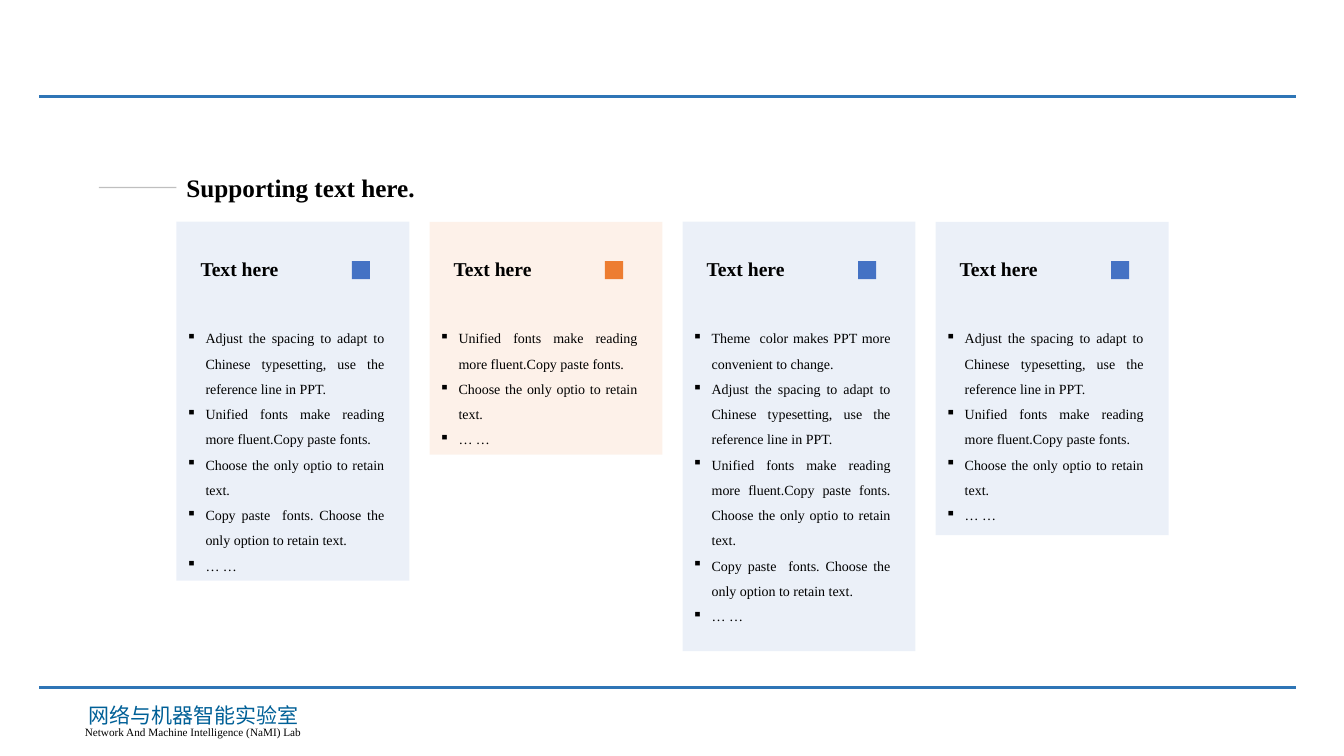
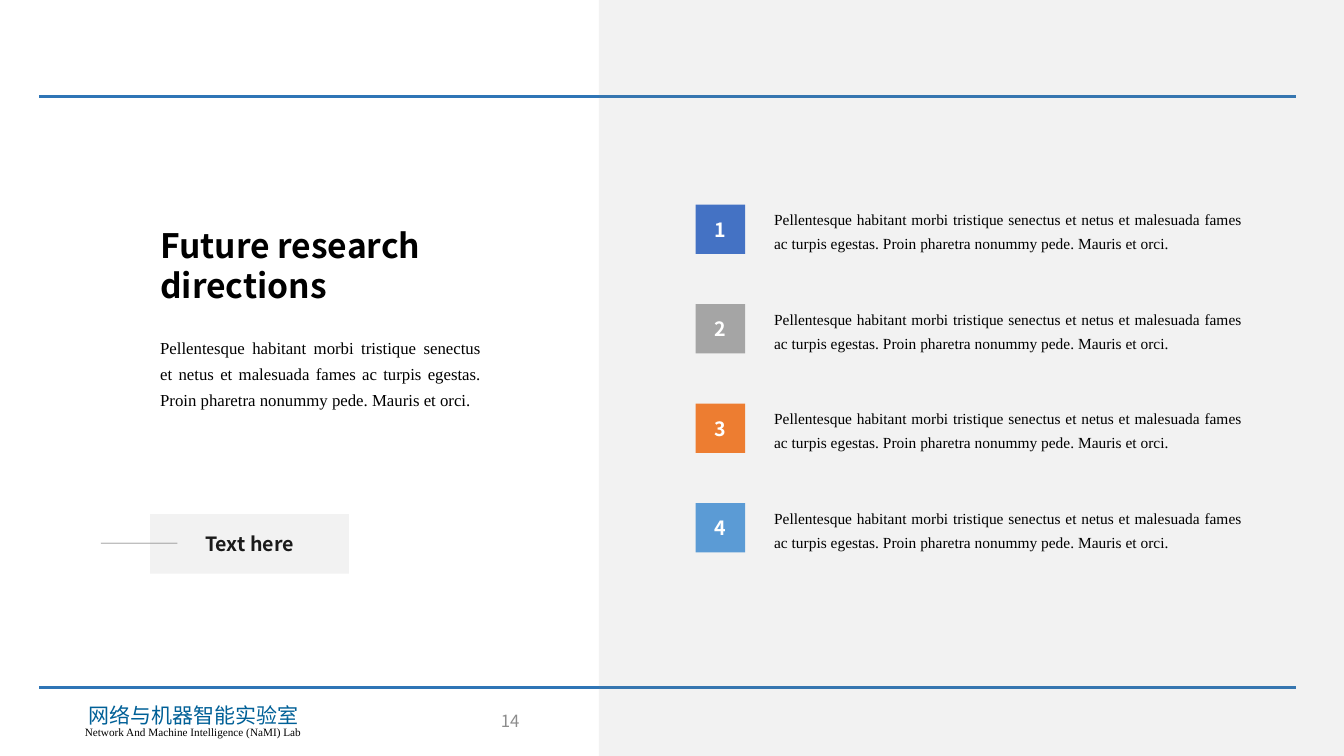
"""Build two lab slides: a four-card comparison and a list of research directions."""
from dataclasses import dataclass

from lxml.etree import SubElement
from pptx import Presentation
from pptx.dml.color import RGBColor
from pptx.enum.shapes import MSO_CONNECTOR, MSO_SHAPE
from pptx.enum.text import MSO_ANCHOR, PP_ALIGN
from pptx.oxml.ns import qn
from pptx.util import Inches, Pt


@dataclass(frozen=True)
class Theme:
    serif: str = "Times New Roman"
    sans: str = "Noto Sans CJK SC"
    rule: str = "2E75B6"
    lab: str = "006097"
    black: str = "000000"
    white: str = "FFFFFF"
    charcoal: str = "1A1A1A"
    gray: str = "808080"
    number: str = "8C8C8C"
    blue: str = "4472C4"
    orange: str = "ED7D31"
    silver: str = "A5A5A5"
    sky: str = "5B9BD5"
    title: int = 24
    heading: int = 18
    lab_size: int = 15
    label: int = 14
    body: int = 12
    item: int = 11
    bullet: int = 10
    caption: int = 8
    tint: int = 10
    faint: int = 50


THEME = Theme()

LAB_NAME = "网络与机器智能实验室"
LAB_CAPTION = "Network And Machine Intelligence (NaMI) Lab"

SPACING = "Adjust the spacing to adapt to Chinese typesetting, use the reference line in PPT."
FONTS = "Unified fonts make reading more fluent.Copy paste fonts."
CHOOSE = "Choose the only optio to retain text."
COPY = "Copy paste  fonts. Choose the only option to retain text."
COLOR = "Theme  color makes PPT more convenient to change."
MORE = "… …"

CARD_HEADING = "Supporting text here."
CARD_LABEL = "Text here"
CARDS = [
    (THEME.blue, 3.56, [SPACING, FONTS, CHOOSE, COPY, MORE]),
    (THEME.orange, 2.31, [FONTS, CHOOSE, MORE]),
    (THEME.blue, 4.26, [COLOR, SPACING, f"{FONTS} {CHOOSE}", COPY, MORE]),
    (THEME.blue, 3.11, [SPACING, FONTS, CHOOSE, MORE]),
]

DIRECTIONS_TITLE = "Future research directions"
DIRECTIONS_LABEL = "Text here"
DIRECTIONS_NUMBER = "14"
PASSAGE = (
    "Pellentesque habitant morbi tristique senectus et netus et malesuada fames "
    "ac turpis egestas. Proin pharetra nonummy pede. Mauris et orci."
)
DIRECTIONS = [
    (THEME.blue, PASSAGE),
    (THEME.silver, PASSAGE),
    (THEME.orange, PASSAGE),
    (THEME.sky, PASSAGE),
]


def set_alpha(owner, percent):
    color = next(owner.iter(qn("a:srgbClr")))
    SubElement(color, qn("a:alpha"), val=str(percent * 1000))


def add_line(page, left, right, top, color, width, alpha=None):
    line = page.shapes.add_connector(
        MSO_CONNECTOR.STRAIGHT, Inches(left), Inches(top), Inches(right), Inches(top)
    )
    line.line.color.rgb = RGBColor.from_string(color)
    line.line.width = Pt(width)
    properties = line._element.spPr
    if alpha:
        set_alpha(properties, alpha)
    SubElement(properties, qn("a:effectLst"))


def add_block(page, left, top, width, height, color, alpha=None):
    block = page.shapes.add_shape(
        MSO_SHAPE.RECTANGLE, Inches(left), Inches(top), Inches(width), Inches(height)
    )
    block.shadow.inherit = False
    block.fill.solid()
    block.fill.fore_color.rgb = RGBColor.from_string(color)
    if alpha:
        set_alpha(block._element.spPr, alpha)
    block.line.fill.background()
    return block


def add_bullet(para):
    properties = para._p.get_or_add_pPr()
    properties.set("marL", str(Inches(0.19)))
    properties.set("indent", str(-Inches(0.19)))
    SubElement(properties, qn("a:buChar"), char="▪")


def write(shape, lines, size, font=THEME.serif, color=THEME.black, bold=False,
          align=PP_ALIGN.LEFT, anchor=MSO_ANCHOR.TOP, spacing=None, bullets=False, wrap=True):
    frame = shape.text_frame
    frame.word_wrap = wrap
    frame.vertical_anchor = anchor
    for index, line in enumerate(lines):
        para = frame.add_paragraph() if index else frame.paragraphs[0]
        para.alignment = align
        if spacing:
            para.line_spacing = spacing
        if bullets:
            add_bullet(para)
        span = para.add_run()
        span.text = line
        span.font.name = font
        span.font.size = Pt(size)
        span.font.bold = bold
        span.font.color.rgb = RGBColor.from_string(color)
        SubElement(span._r.get_or_add_rPr(), qn("a:ea"), typeface=font)


def add_text(page, left, top, width, height, lines, size, **style):
    box = page.shapes.add_textbox(Inches(left), Inches(top), Inches(width), Inches(height))
    write(box, lines, size, **style)


def add_page(deck):
    page = deck.slides.add_slide(deck.slide_layouts[6])
    for top in (0.96, 6.82):
        add_line(page, 0.39, 12.85, top, THEME.rule, 2.25)
    add_text(page, 0.77, 6.92, 2.29, 0.35, [LAB_NAME], THEME.lab_size, font=THEME.sans,
             color=THEME.lab, align=PP_ALIGN.CENTER, spacing=Pt(18))
    add_text(page, 0.69, 7.15, 2.45, 0.24, [LAB_CAPTION], THEME.caption,
             align=PP_ALIGN.CENTER)
    return page


def build_cards(deck):
    page = add_page(deck)
    first_left, top, width, gap = 1.75, 2.2, 2.31, 0.2
    add_line(page, 0.98, first_left, 1.86, THEME.gray, 1, THEME.faint)
    add_text(page, first_left, 1.66, 3.38, 0.4, [CARD_HEADING], THEME.heading, bold=True,
             anchor=MSO_ANCHOR.BOTTOM)
    for index, (color, height, points) in enumerate(CARDS):
        left = first_left + index * (width + gap)
        add_block(page, left, top, width, height, color, THEME.tint)
        add_text(page, left, top + 0.94, 2.16, height - 0.94, points, THEME.bullet,
                 align=PP_ALIGN.JUSTIFY, spacing=1.5, bullets=True)
        add_text(page, left + 0.14, top + 0.3, 2.02, 0.34, [CARD_LABEL], THEME.label, bold=True)
        add_block(page, left + 1.74, top + 0.39, 0.18, 0.18, color)


def build_directions(deck):
    page = add_page(deck)
    add_text(page, 4.15, 6.95, 1.1, 0.4, [DIRECTIONS_NUMBER], THEME.body, font=THEME.sans,
             color=THEME.number, align=PP_ALIGN.RIGHT, anchor=MSO_ANCHOR.MIDDLE)
    add_block(page, 5.94, 0, 7.39, 7.5, THEME.gray, THEME.tint)

    left = 1.49
    label = add_block(page, left, 5.1, 1.97, 0.59, THEME.gray, THEME.tint)
    write(label, [DIRECTIONS_LABEL], THEME.label, font=THEME.sans, color=THEME.charcoal,
          bold=True, align=PP_ALIGN.CENTER, anchor=MSO_ANCHOR.MIDDLE)
    add_line(page, 1, 1.76, 5.39, THEME.gray, 1, THEME.faint)
    add_text(page, left, 2.17, 3.38, 0.91, [DIRECTIONS_TITLE], THEME.title, font=THEME.sans,
             bold=True, anchor=MSO_ANCHOR.BOTTOM, spacing=Pt(29))
    add_text(page, left, 3.24, 3.38, 0.86, [PASSAGE], THEME.body,
             align=PP_ALIGN.JUSTIFY, spacing=1.3)

    first_top, last_top, side = 2.03, 4.99, 0.49
    pitch = (last_top - first_top) / (len(DIRECTIONS) - 1)
    for index, (color, passage) in enumerate(DIRECTIONS):
        top = first_top + index * pitch
        add_text(page, 7.58, top - 0.04, 4.84, 0.56, [passage], THEME.item,
                 align=PP_ALIGN.JUSTIFY, anchor=MSO_ANCHOR.MIDDLE, spacing=1.3)
        badge = add_block(page, 6.9, top, side, side, color)
        write(badge, [str(index + 1)], THEME.label, font=THEME.sans, color=THEME.white,
              bold=True, align=PP_ALIGN.CENTER, anchor=MSO_ANCHOR.MIDDLE, wrap=False)


def main():
    deck = Presentation()
    deck.slide_width = Inches(13.33)
    deck.slide_height = Inches(7.5)
    build_cards(deck)
    build_directions(deck)
    deck.save("out.pptx")


if __name__ == "__main__":
    main()
